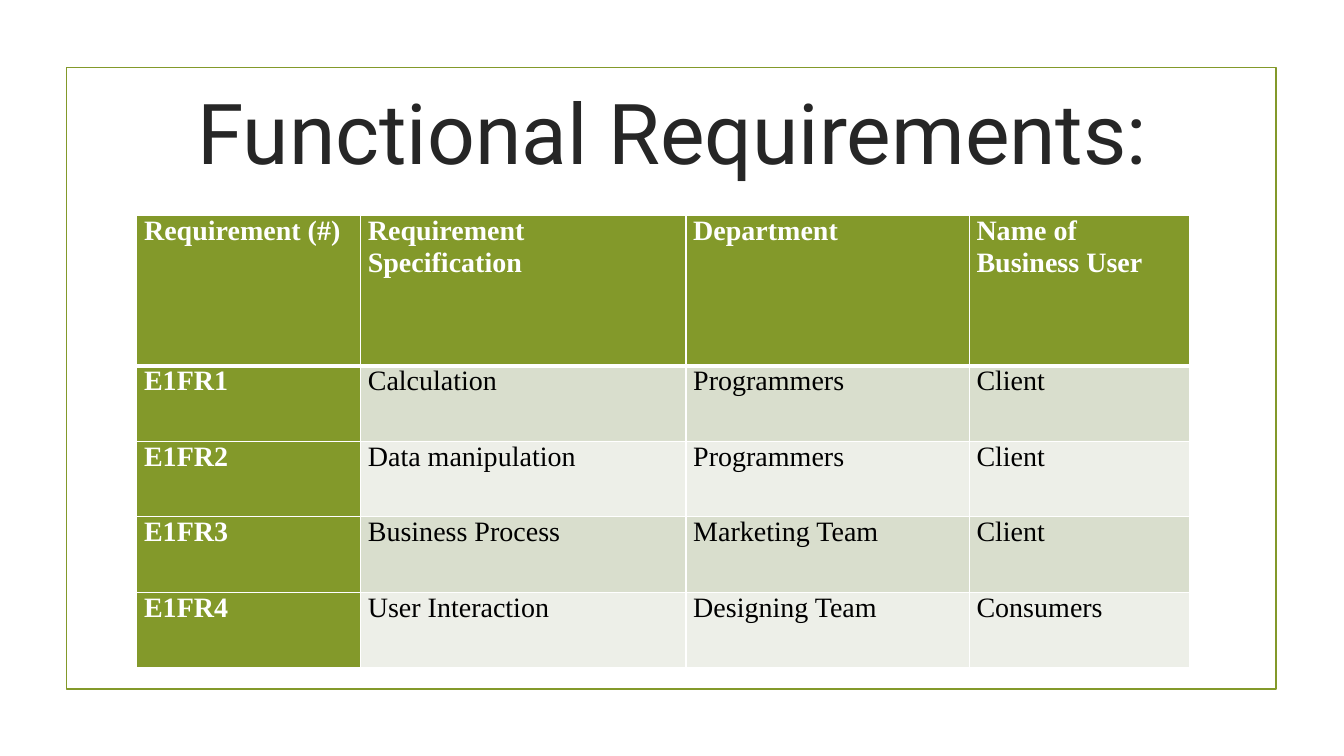
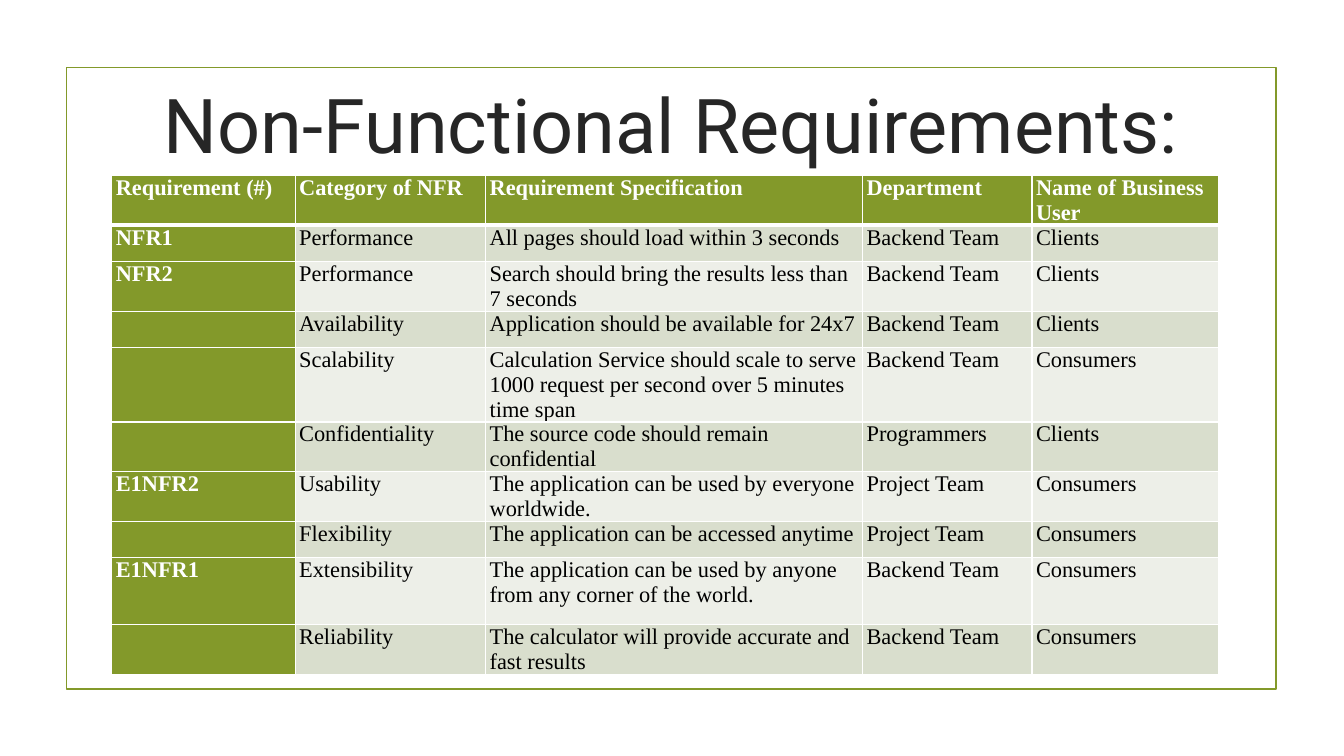
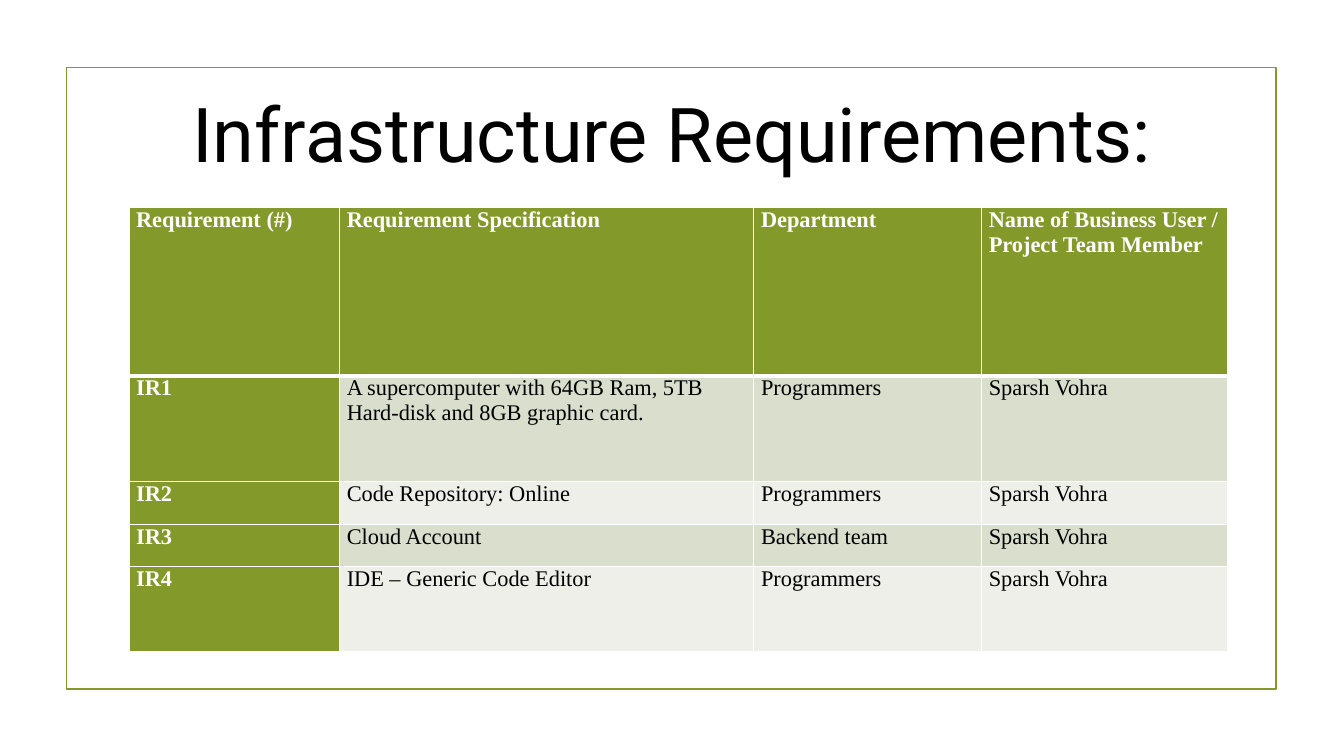
from lxml.etree import SubElement
from pptx import Presentation
from pptx.dml.color import RGBColor
from pptx.enum.shapes import MSO_SHAPE
from pptx.enum.text import MSO_ANCHOR, MSO_AUTO_SIZE, PP_ALIGN
from pptx.oxml.ns import qn
from pptx.util import Cm, Pt

COLORS = {
    "green": "83992A",
    "dark": "262626",
    "black": "000000",
    "white": "FFFFFF",
    "band_odd": "D9DECD",
    "band_even": "EDEFE8",
}
TITLE_FONT = "Roboto"
TABLE_FONT = "Times New Roman"
FRAME_BOX = (1.68, 1.7, 30.48, 15.67)

SLIDES = [
    {
        "title": "Functional Requirements:",
        "title_box": (1.35, 1.83, 31.19, 2.92),
        "title_size": 60,
        "title_color": "dark",
        "origin": (3.45, 5.44),
        "cols": [5.64, 8.2, 7.14, 5.56],
        "rows": [3.78] + [1.9] * 4,
        "size": 20,
        "inset": 0.18,
        "cells": [
            ["Requirement (#)", "Requirement Specification", "Department", "Name of Business User"],
            ["E1FR1", "Calculation", "Programmers", "Client"],
            ["E1FR2", "Data manipulation", "Programmers", "Client"],
            ["E1FR3", "Business Process", "Marketing Team", "Client"],
            ["E1FR4", "User Interaction", "Designing Team", "Consumers"],
        ],
    },
    {
        "title": "Non-Functional Requirements:",
        "title_box": (1.27, 1.57, 31.29, 3.07),
        "title_size": 54,
        "title_color": "dark",
        "origin": (2.82, 4.42),
        "cols": [4.62, 4.8, 9.5, 4.27, 4.7],
        "rows": [1.22, 0.91, 1.22, 0.91, 1.83, 1.22, 1.22, 0.91, 1.68, 1.22],
        "size": 16,
        "inset": 0.1,
        "cells": [
            ["Requirement (#)", "Category of NFR", "Requirement Specification", "Department",
             "Name of Business User"],
            ["NFR1", "Performance", "All pages should load within 3 seconds", "Backend Team", "Clients"],
            ["NFR2", "Performance", "Search should bring the results less than 7 seconds",
             "Backend Team", "Clients"],
            ["", "Availability", "Application should be available for 24x7", "Backend Team", "Clients"],
            ["", "Scalability",
             "Calculation Service should scale to serve 1000 request per second over 5 minutes time span",
             "Backend Team", "Consumers"],
            ["", "Confidentiality", "The source code should remain confidential", "Programmers", "Clients"],
            ["E1NFR2", "Usability", "The application can be used by everyone worldwide.",
             "Project Team", "Consumers"],
            ["", "Flexibility", "The application can be accessed anytime", "Project Team", "Consumers"],
            ["E1NFR1", "Extensibility",
             "The application can be used by anyone from any corner of the world.",
             "Backend Team", "Consumers"],
            ["", "Reliability", "The calculator will provide accurate and fast results",
             "Backend Team", "Consumers"],
        ],
    },
    {
        "title": "Infrastructure Requirements:",
        "title_box": (1.37, 1.7, 31.14, 3.25),
        "title_size": 54,
        "title_color": "black",
        "origin": (3.25, 5.23),
        "cols": [5.31, 10.44, 5.74, 6.2],
        "rows": [4.24, 2.67, 1.07, 1.07, 2.13],
        "size": 16,
        "inset": 0.18,
        "cells": [
            ["Requirement (#)", "Requirement Specification", "Department",
             "Name of Business User / Project Team Member"],
            ["IR1", "A supercomputer with 64GB Ram, 5TB Hard-disk and 8GB graphic card.",
             "Programmers", "Sparsh Vohra"],
            ["IR2", "Code Repository: Online", "Programmers", "Sparsh Vohra"],
            ["IR3", "Cloud Account", "Backend team", "Sparsh Vohra"],
            ["IR4", "IDE – Generic Code Editor", "Programmers", "Sparsh Vohra"],
        ],
    },
]


def rgb(name):
    return RGBColor.from_string(COLORS[name])


def add_run(p, text, font, size, color, bold=False):
    r = p.add_run()
    r.text = text
    r.font.name = font
    r.font.size = Pt(size)
    r.font.bold = bold
    r.font.color.rgb = rgb(color)


def add_frame(slide, box):
    sp = slide.shapes.add_shape(MSO_SHAPE.RECTANGLE, *map(Cm, box))
    sp.shadow.inherit = False
    sp.fill.background()
    sp.line.color.rgb = rgb("green")
    sp.line.width = Pt(1.25)


def set_title(slide, text, box, size, color):
    sp = slide.shapes.title
    sp.left, sp.top, sp.width, sp.height = map(Cm, box)
    tf = sp.text_frame
    tf.auto_size = MSO_AUTO_SIZE.NONE
    tf.vertical_anchor = MSO_ANCHOR.MIDDLE
    p = tf.paragraphs[0]
    p.alignment = PP_ALIGN.CENTER
    add_run(p, text, TITLE_FONT, size, color)


def set_borders(cell, top, bottom):
    tc_pr = cell._tc.get_or_add_tcPr()
    for side, width in (("L", 1), ("R", 1), ("T", top), ("B", bottom)):
        ln = SubElement(tc_pr, qn(f"a:ln{side}"), w=str(Pt(width)))
        fill = SubElement(ln, qn("a:solidFill"))
        SubElement(fill, qn("a:srgbClr"), val=COLORS["white"])


def format_cell(cell, text, row, col, size, inset):
    heading = row == 0 or col == 0
    band = "band_odd" if row % 2 else "band_even"
    set_borders(cell, 3 if row == 1 else 1, 3 if row == 0 else 1)
    cell.fill.solid()
    cell.fill.fore_color.rgb = rgb("green" if heading else band)
    cell.margin_left = cell.margin_right = Cm(inset)
    cell.margin_top = cell.margin_bottom = 0
    if text:
        p = cell.text_frame.paragraphs[0]
        add_run(p, text, TABLE_FONT, size, "white" if heading else "black", heading)


def add_requirements_table(slide, origin, cols, rows, cells, size, inset):
    box = (*origin, sum(cols), sum(rows))
    table = slide.shapes.add_table(len(rows), len(cols), *map(Cm, box)).table
    table.first_col = True
    table.horz_banding = False
    for column, width in zip(table.columns, cols):
        column.width = Cm(width)
    for i, (height, texts) in enumerate(zip(rows, cells)):
        table.rows[i].height = Cm(height)
        for j, text in enumerate(texts):
            format_cell(table.cell(i, j), text, i, j, size, inset)


def add_requirements_slide(prs, data):
    slide = prs.slides.add_slide(prs.slide_layouts[5])
    add_frame(slide, FRAME_BOX)
    set_title(slide, data["title"], data["title_box"], data["title_size"], data["title_color"])
    add_requirements_table(slide, data["origin"], data["cols"], data["rows"],
                           data["cells"], data["size"], data["inset"])


def main():
    prs = Presentation()
    prs.slide_width, prs.slide_height = Cm(33.87), Cm(19.05)
    for data in SLIDES:
        add_requirements_slide(prs, data)
    prs.save("out.pptx")


if __name__ == "__main__":
    main()
